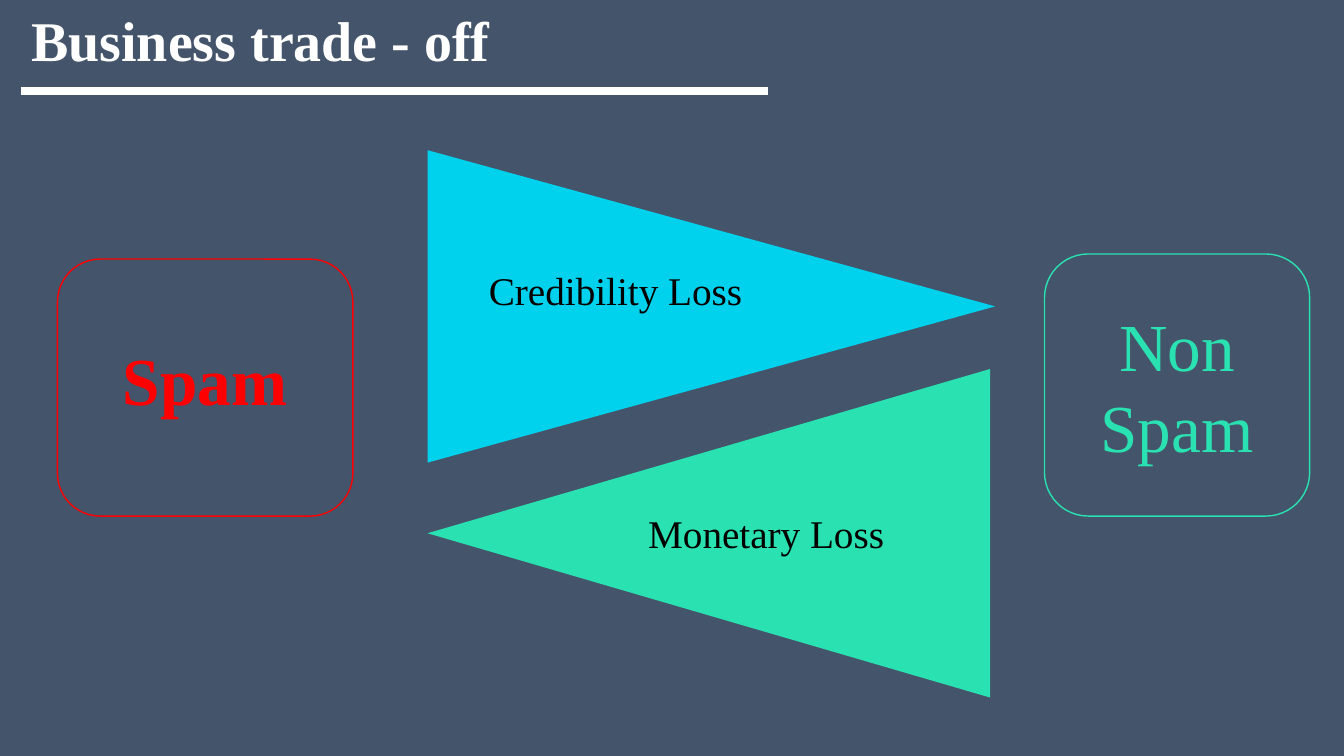
from pptx import Presentation
from pptx.dml.color import RGBColor
from pptx.enum.shapes import MSO_CONNECTOR, MSO_SHAPE
from pptx.enum.text import MSO_ANCHOR, MSO_AUTO_SIZE, PP_ALIGN
from pptx.oxml import parse_xml
from pptx.oxml.ns import nsdecls
from pptx.util import Inches, Pt

SLATE = RGBColor(0x44, 0x54, 0x6A)
WHITE = RGBColor(0xFF, 0xFF, 0xFF)
BLACK = RGBColor(0x00, 0x00, 0x00)
RED = RGBColor(0xFF, 0x00, 0x00)
CYAN = RGBColor(0x00, 0xD2, 0xEE)
MINT = RGBColor(0x29, 0xE1, 0xB1)
FONT = "Times New Roman"

STRAIGHT = MSO_CONNECTOR.STRAIGHT
TRIANGLE = MSO_SHAPE.ISOSCELES_TRIANGLE
ROUNDED = MSO_SHAPE.ROUNDED_RECTANGLE
TOP, MIDDLE = MSO_ANCHOR.TOP, MSO_ANCHOR.MIDDLE
LEFT, CENTER = PP_ALIGN.LEFT, PP_ALIGN.CENTER
NO_AUTOFIT = MSO_AUTO_SIZE.NONE


def write(tf, text, size, color, bold=False, align=LEFT, anchor=TOP, wrap=True):
    tf.word_wrap = wrap
    tf.auto_size = NO_AUTOFIT
    tf.vertical_anchor = anchor
    p = tf.paragraphs[0]
    p.alignment = align
    p.line_spacing = 1.0
    r = p.add_run()
    r.text = text
    r.font.name = FONT
    r.font.size = Pt(size)
    r.font.bold = bold
    r.font.color.rgb = color


def add_header(s, left, top, width, text):
    """Title with a thick rule of the given width below it."""
    title = s.shapes.title
    title.left, title.top = Inches(left), Inches(top)
    title.width, title.height = Inches(4.8), Inches(1.25)
    write(title.text_frame, text, 40, WHITE, bold=True, wrap=False)
    y = Inches(top + 0.9)
    rule = s.shapes.add_connector(STRAIGHT, Inches(left), y, Inches(left + width), y)
    rule.line.color.rgb = WHITE
    rule.line.width = Pt(6)
    rule._element.spPr.append(parse_xml(f"<a:effectLst {nsdecls('a')}/>"))


def add_wedge(s, left, top, width, height, rotation, color, text, dx, dy):
    """Sideways triangle filling the box as seen, its label offset by dx, dy."""
    # The frame is upright before rotation, so its sides are swapped.
    wedge = s.shapes.add_shape(
        TRIANGLE,
        Inches(left + (width - height) / 2), Inches(top + (height - width) / 2),
        Inches(height), Inches(width))
    wedge.rotation = rotation
    wedge.shadow.inherit = False
    wedge.fill.solid()
    wedge.fill.fore_color.rgb = color
    wedge.line.fill.background()
    label = s.shapes.add_textbox(
        Inches(left + dx), Inches(top + dy), Inches(3.31), Inches(0.57))
    write(label.text_frame, text, 28, BLACK)


def add_class_box(s, left, top, width, height, color, text, bold=False, lift=0):
    """Outlined class name; lift is extra bottom margin that raises the text."""
    box = s.shapes.add_shape(
        ROUNDED, Inches(left), Inches(top), Inches(width), Inches(height))
    box.shadow.inherit = False
    box.fill.background()
    box.line.color.rgb = color
    box.line.width = Pt(1)
    tf = box.text_frame
    write(tf, text, 48, color, bold=bold, align=CENTER, anchor=MIDDLE)
    tf.margin_bottom = Inches(0.05 + lift)


def add_trade_off_slide(prs):
    s = prs.slides.add_slide(prs.slide_layouts[5])
    s.background.fill.solid()
    s.background.fill.fore_color.rgb = SLATE
    add_header(s, 0.21, 0, 7.41, "Business trade - off")
    add_wedge(s, 4.24, 1.49, 5.63, 3.1, 90, CYAN, "Credibility Loss", 0.51, 1.1)
    add_wedge(s, 4.24, 3.66, 5.58, 3.26, 270, MINT, "Monetary Loss", 2.09, 1.34)
    add_class_box(s, 0.57, 2.57, 2.93, 2.55, RED, "Spam", bold=True, lift=0.17)
    add_class_box(s, 10.36, 2.52, 2.63, 2.6, MINT, "Non Spam")


def main():
    prs = Presentation()
    prs.slide_width, prs.slide_height = Inches(13.33), Inches(7.5)
    add_trade_off_slide(prs)
    prs.save("out.pptx")


if __name__ == "__main__":
    main()
